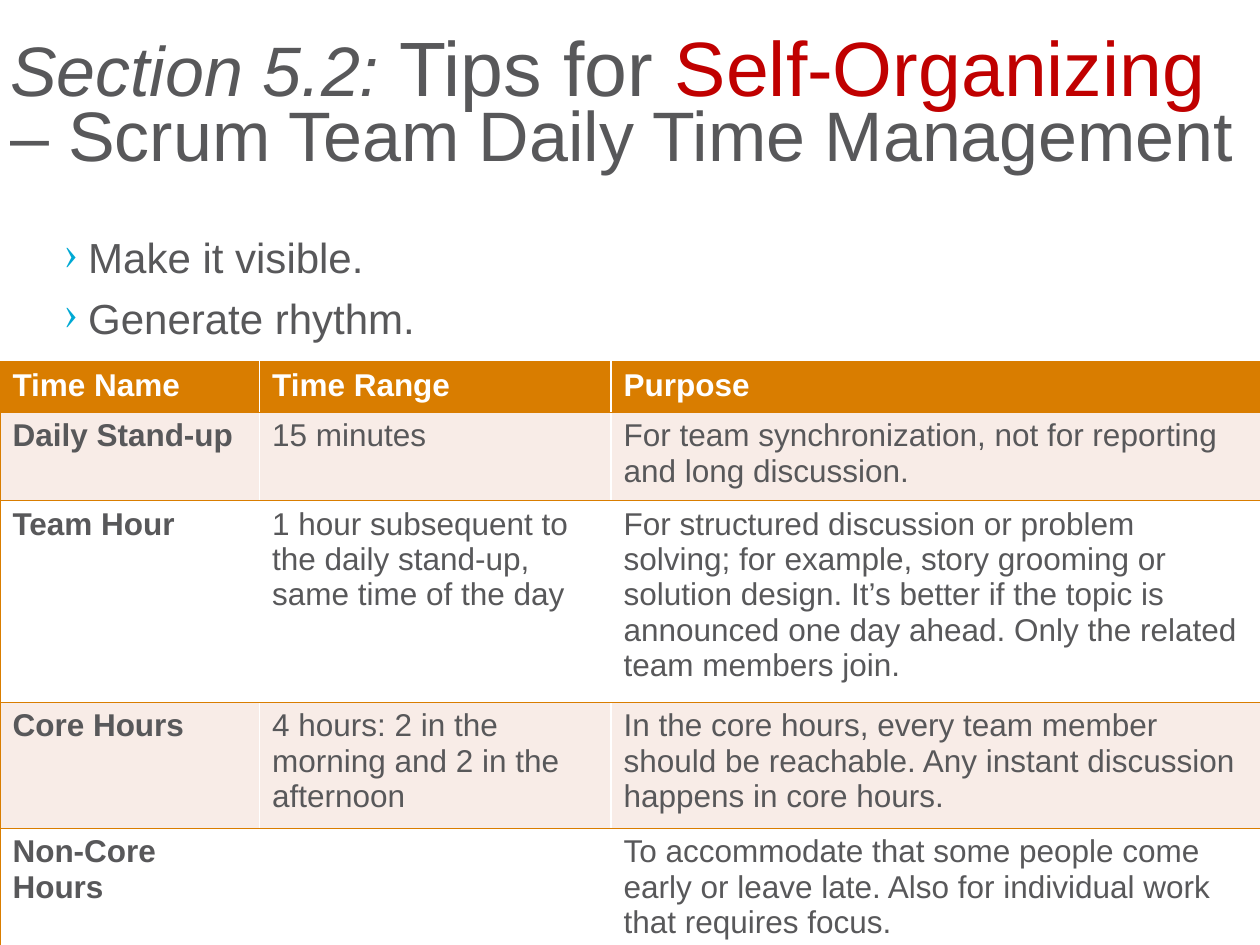
"""Build the slide on daily time management for a Scrum team."""
from typing import NamedTuple

from lxml import etree
from pptx import Presentation
from pptx.dml.color import RGBColor
from pptx.enum.text import MSO_ANCHOR
from pptx.oxml.ns import qn
from pptx.util import Inches, Pt

MIDDLE, TOP = MSO_ANCHOR.MIDDLE, MSO_ANCHOR.TOP
WIDE, HIGH = 10, 7.5
FONT = "Arial"
HUES = {"text": "58585A", "red": "C00000", "blue": "00A9D4",
        "head": "D97D00", "band": "F8ECE7", "white": "FFFFFF"}


class Part(NamedTuple):
    text: str
    size: int
    hue: str = "text"
    slant: bool = False


class Row(NamedTuple):
    high: float
    name: str
    span: str
    goal: str


TITLE = [
    Part("Section 5.2:", 40, slant=True),
    Part(" Tips for ", 44),
    Part("Self-Organizing ", 44, "red"),
    Part("– Scrum Team Daily Time Management", 40),
]
TIPS = ["Make it visible.", "Generate rhythm."]
COLS = [2.06, 2.79, 5.15]
ROWS = [
    Row(0.4, "Time Name", "Time Range", "Purpose"),
    Row(0.7, "Daily Stand-up", "15 minutes",
        "For team synchronization, not for reporting and long discussion."),
    Row(1.6, "Team Hour",
        "1 hour subsequent to the daily stand-up, same time of the day",
        "For structured discussion or problem solving; for example, story "
        "grooming or solution design. It’s better if the topic is announced "
        "one day ahead. Only the related team members join."),
    Row(1, "Core Hours", "4 hours: 2 in the morning and 2 in the afternoon",
        "In the core hours, every team member should be reachable. Any "
        "instant discussion happens in core hours."),
    Row(1, "Non-Core Hours", "",
        "To accommodate that some people come early or leave late. Also for "
        "individual work that requires focus."),
]


def tint(hue: str) -> RGBColor:
    """Return a named colour."""
    return RGBColor.from_string(HUES[hue])


def style(font, size: int, hue: str, bold: bool = False, slant: bool = False) -> None:
    """Set the look of a font."""
    font.name, font.size = FONT, Pt(size)
    font.bold, font.italic = bold, slant
    font.color.rgb = tint(hue)


def add_box(slide, left: float, top: float, wide: float, high: float, anchor):
    """Add a wrapped text frame with narrow side margins."""
    box = slide.shapes.add_textbox(*map(Inches, (left, top, wide, high)))
    frame = box.text_frame
    frame.word_wrap, frame.vertical_anchor = True, anchor
    frame.margin_left = frame.margin_right = Inches(0.08)
    frame.margin_top = frame.margin_bottom = 0
    return frame


def add_title(slide) -> None:
    """Write the title in its mixed styles."""
    para = add_box(slide, 0, 0.26, WIDE, 1.19, MIDDLE).paragraphs[0]
    para.line_spacing = 0.75
    for part in TITLE:
        run = para.add_run()
        run.text = part.text
        style(run.font, part.size, part.hue, slant=part.slant)


def add_tips(slide) -> None:
    """Write the bulleted tips."""
    frame = add_box(slide, 0.43, 1.84, 9.13, 0.95, TOP)
    frame.text = "\n".join(TIPS)
    for rank, para in enumerate(frame.paragraphs):
        props = para._p.get_or_add_pPr()
        props.set("marL", str(Inches(0.19)))
        props.set("indent", str(-Inches(0.19)))
        para.space_before = Pt(6 if rank else 0)
        color = etree.SubElement(props, qn("a:buClr"))
        etree.SubElement(color, qn("a:srgbClr"), val=HUES["blue"])
        etree.SubElement(props, qn("a:buChar"), char="›")
        style(para.runs[0].font, 24, "text")


def edge(cell, side: str) -> None:
    """Draw a thin border on one side of a cell."""
    line = etree.SubElement(cell._tc.get_or_add_tcPr(), qn(f"a:ln{side}"),
                            w=str(Pt(0.45)))
    fill = etree.SubElement(line, qn("a:solidFill"))
    etree.SubElement(fill, qn("a:srgbClr"), val=HUES["head"])


def add_grid(slide) -> None:
    """Add the table of daily time slots."""
    size = map(Inches, (0, 2.87, WIDE, sum(row.high for row in ROWS)))
    grid = slide.shapes.add_table(len(ROWS), len(COLS), *size).table
    for col, wide in zip(grid.columns, COLS):
        col.width = Inches(wide)
    for y, row in enumerate(ROWS):
        grid.rows[y].height = Inches(row.high)
        fill = "head" if y == 0 else "band" if y % 2 else "white"
        for x, text in enumerate((row.name, row.span, row.goal)):
            cell = grid.cell(y, x)
            cell.text = text
            style(cell.text_frame.paragraphs[0].font, 18,
                  "text" if y else "white", y == 0 or x == 0)
            for run in cell.text_frame.paragraphs[0].runs:
                style(run.font, 18, "text" if y else "white", y == 0 or x == 0)
            for side in ("LTB", "TB", "RTB")[x]:
                edge(cell, side)
            cell.fill.solid()
            cell.fill.fore_color.rgb = tint(fill)


def main() -> None:
    """Build and save the slide."""
    deck = Presentation()
    deck.slide_width, deck.slide_height = Inches(WIDE), Inches(HIGH)
    blank = deck.slide_layouts[6]
    slide = deck.slides.add_slide(blank)
    add_tips(slide)
    add_title(slide)
    add_grid(slide)
    deck.save("out.pptx")


if __name__ == "__main__":
    main()
